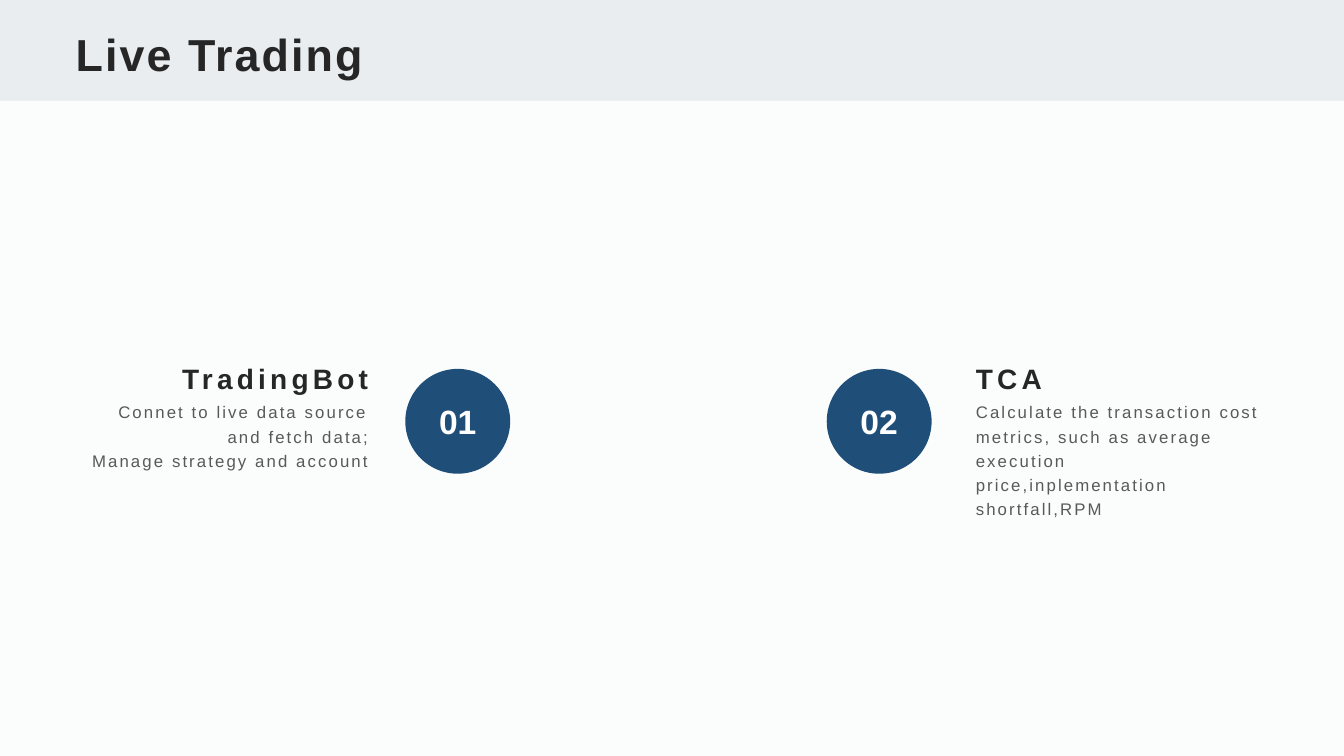
import pptx
import pptx.util
import pptx.dml.color
import pptx.enum.shapes
import pptx.enum.text

PX = 9144  # EMU per px, 100 px to the inch
THEME = {
    "font": "Arial",
    "back": "FBFCFC", "band": "E9EDF0", "disc": "1F4E78",
    "dark": "262626", "grey": "595959", "white": "FFFFFF",
    "title": 32, "num": 24, "head": 20, "body": 12,
}
ALIGN = pptx.enum.text.PP_ALIGN
ANCHOR = pptx.enum.text.MSO_ANCHOR
SHAPE = pptx.enum.shapes.MSO_SHAPE


def paint(fill, name):
    fill.solid()
    fill.fore_color.rgb = pptx.dml.color.RGBColor.from_string(THEME[name])


def write(shape, text, size, color, bold, align, anchor, pad, line=1.0, gap=0):
    """Fill a shape with text; pad is left, top, right, bottom in px, gap in 1/100 pt."""
    frame = shape.text_frame
    frame.word_wrap = True
    frame.vertical_anchor = anchor
    (frame.margin_left, frame.margin_top,
     frame.margin_right, frame.margin_bottom) = [n * PX for n in pad]
    frame.text = text
    for para in frame.paragraphs:
        para.alignment = align
        para.line_spacing = line
        for run in para.runs:
            run.font.name = THEME["font"]
            run.font.size = pptx.util.Pt(THEME[size])
            run.font.bold = bold
            paint(run.font.fill, color)
            if gap:
                run.font._element.set("spc", str(gap))


deck = pptx.Presentation()
deck.slide_width, deck.slide_height = 1333 * PX, 750 * PX
slide = deck.slides.add_slide(deck.slide_layouts[6])
paint(slide.background.fill, "back")
shapes = slide.shapes

# Title band
band = shapes.add_shape(SHAPE.RECTANGLE, 0, 0, deck.slide_width, 100 * PX)
band.shadow.inherit = False
paint(band.fill, "band")
band.line.fill.background()
title = shapes.add_textbox(67 * PX, 17 * PX, 1200 * PX, 67 * PX)
write(title, "Live Trading", "title", "dark", True, ALIGN.LEFT,
      ANCHOR.BOTTOM, (8, 4, 8, 4), gap=150)

# Numbered items: disc left, text left, alignment, heading, body
items = [
    (402, 73, ALIGN.RIGHT, "TradingBot",
     "Connet to live data source and fetch data;\nManage strategy and account"),
    (820, 958, ALIGN.LEFT, "TCA",
     "Calculate the transaction cost metrics, such as average execution "
     "price,inplementation shortfall,RPM"),
]
for num, (spot, left, align, name, note) in enumerate(items, 1):
    disc = shapes.add_shape(SHAPE.OVAL, spot * PX, 366 * PX, 104 * PX, 104 * PX)
    disc.shadow.inherit = False
    paint(disc.fill, "disc")
    disc.line.fill.background()
    write(disc, f"{num:02}", "num", "white", True, ALIGN.CENTER,
          ANCHOR.MIDDLE, (0, 0, 0, 0))

    head = shapes.add_textbox(left * PX, 348 * PX, 302 * PX, 44 * PX)
    write(head, name, "head", "dark", True, align,
          ANCHOR.BOTTOM, (10, 5, 10, 0), 1.1, 300)
    body = shapes.add_textbox(left * PX, 395 * PX, 302 * PX, 137 * PX)
    write(body, note, "body", "grey", False, align,
          ANCHOR.TOP, (10, 0, 10, 5), 1.2, 150)

deck.save("out.pptx")
